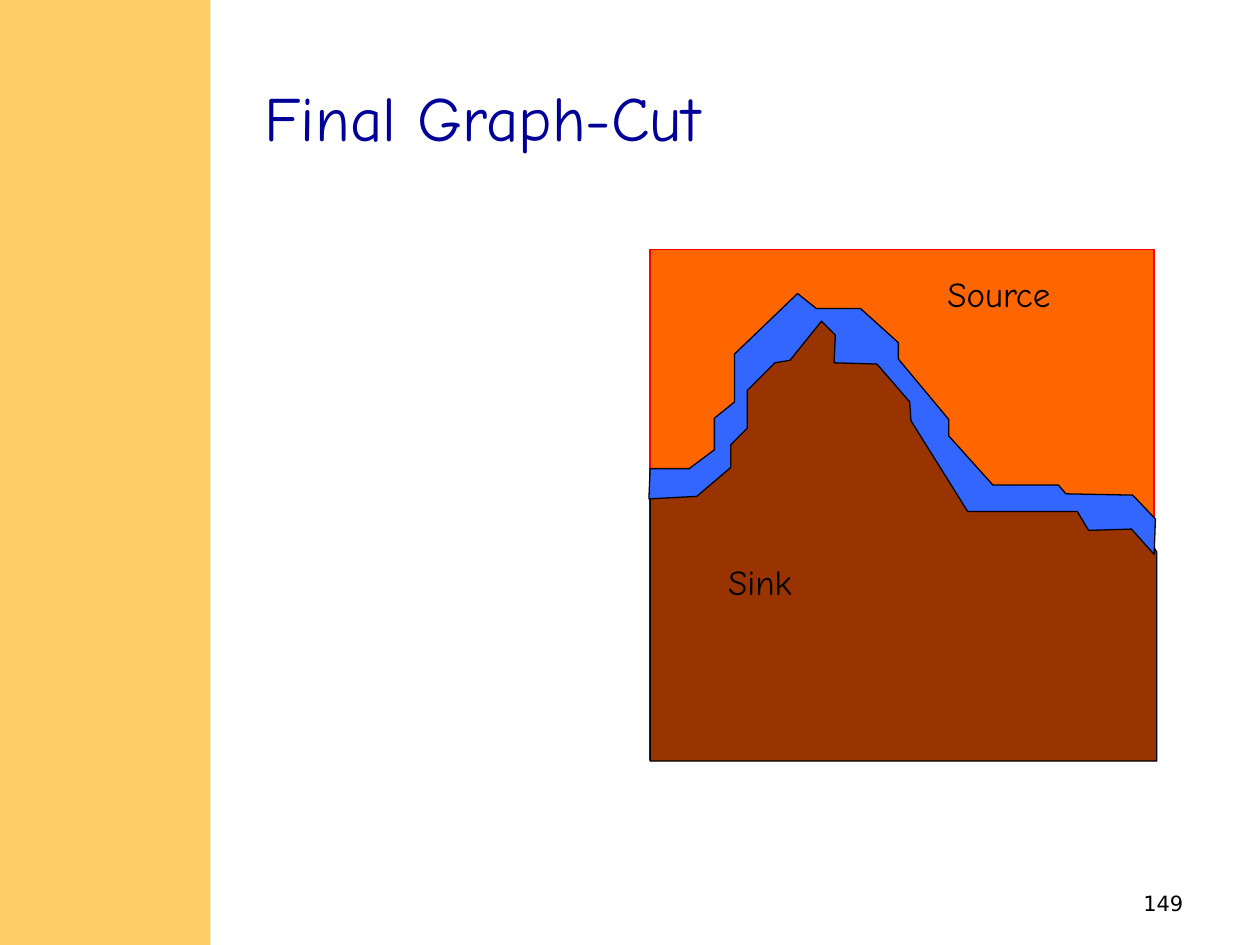
from pptx import Presentation
from pptx.dml.color import RGBColor
from pptx.enum.shapes import MSO_SHAPE
from pptx.enum.text import MSO_ANCHOR, PP_ALIGN
from pptx.util import Inches, Pt

RECTANGLE = MSO_SHAPE.RECTANGLE
TOP, MIDDLE = MSO_ANCHOR.TOP, MSO_ANCHOR.MIDDLE
LEFT, RIGHT = PP_ALIGN.LEFT, PP_ALIGN.RIGHT
TITLE_ONLY = 5
COLUMNS, ROWS = 100, 75

# Outlines as (column, row) points on the grid
SINK_OUTLINE = [
    (51.6, 38.9), (51.6, 60.4), (91.8, 60.4), (91.8, 43.8), (89.8, 40.6),
    (78, 39.7), (73.1, 31.9), (68, 25.6), (63.8, 24.7), (60.1, 27.9),
    (57.7, 34.1), (55.8, 37.9),
]
CUT_UPPER_EDGE = [
    (91.7, 41.2), (89.9, 39.3), (84.6, 39.2), (84, 38.5), (78.8, 38.5),
    (75.3, 34.6), (75.3, 33.3), (71.3, 28.5), (71.3, 27.2), (68.3, 24.5),
    (64.8, 24.5), (63.3, 23.3), (58.3, 28.1), (58.3, 31.9), (56.7, 33.2),
    (56.7, 35.7), (54.7, 37.2), (51.6, 37.2),
]
CUT_LOWER_EDGE = [
    (51.5, 39.6), (55.3, 39.4), (58, 37.1), (58, 35.3), (59.3, 34),
    (59.3, 31), (61.5, 28.8), (62.7, 28.6), (65.2, 25.5), (66.3, 26.6),
    (66.2, 28.8), (69.6, 28.9), (72.2, 31.9), (72.3, 33.4), (76.8, 40.6),
    (85.5, 40.6), (86.4, 42.1), (89.8, 42), (91.6, 44),
]


def color(hex_text):
    return RGBColor.from_string(hex_text)


def write_text(frame, text, font="Comic Neue", size=20, ink="000000",
               align=LEFT, anchor=TOP):
    frame.word_wrap = True
    frame.vertical_anchor = anchor
    para = frame.paragraphs[0]
    para.alignment = align
    span = para.add_run()
    span.text = text
    span.font.name = font
    span.font.size = Pt(size)
    span.font.color.rgb = color(ink)


class SlideBuilder:
    """Holds the deck, the current slide and its grid."""

    def __init__(self):
        self.deck = Presentation()
        self.deck.slide_width, self.deck.slide_height = Inches(10), Inches(7.5)
        self.page = self.deck.slides.add_slide(
            self.deck.slide_layouts[TITLE_ONLY])

    def point(self, column, row):
        return (round(self.deck.slide_width * column / COLUMNS),
                round(self.deck.slide_height * row / ROWS))

    def area(self, column, row, columns, rows):
        return *self.point(column, row), *self.point(columns, rows)

    def paint(self, shape, fill, line):
        shape.shadow.inherit = False
        shape.fill.solid()
        shape.fill.fore_color.rgb = color(fill)
        if line:
            shape.line.color.rgb = color(line)
            shape.line.width = Pt(0.75)
        else:
            shape.line.fill.background()

    def title(self, text, *place):
        box = self.page.shapes.title
        box.left, box.top, box.width, box.height = self.area(*place)
        write_text(box.text_frame, text, size=36, ink="000099", anchor=MIDDLE)

    def rectangle(self, *place, fill, line=None):
        box = self.page.shapes.add_shape(RECTANGLE, *self.area(*place))
        self.paint(box, fill, line)

    def region(self, outline, fill, line="000000"):
        start, *rest = [self.point(*corner) for corner in outline]
        builder = self.page.shapes.build_freeform(*start)
        builder.add_line_segments(rest, close=True)
        self.paint(builder.convert_to_shape(), fill, line)

    def label(self, text, *place, **text_format):
        box = self.page.shapes.add_textbox(*self.area(*place))
        write_text(box.text_frame, text, **text_format)


def main():
    slide = SlideBuilder()

    # Side band and title
    slide.rectangle(0, 0, 16.7, ROWS, fill="FFCC66")
    slide.title("Final Graph-Cut", 20, 3, 75, 12.5)

    # Source and sink regions, with the cut between them
    slide.rectangle(51.6, 19.8, 40, 40.5, fill="FF6600", line="FF0000")
    slide.region(SINK_OUTLINE, "993300")
    slide.region(CUT_UPPER_EDGE + CUT_LOWER_EDGE, "3366FF")

    # Labels and page number
    slide.label("Source", 74.2, 21.1, 16.4, 4.3)
    slide.label("Sink", 56.8, 44, 16.4, 4.3)
    slide.label("149", 85.9, 70.2, 9, 2.7, font="DejaVu Sans", size=12,
                align=RIGHT)

    slide.deck.save("out.pptx")


if __name__ == "__main__":
    main()
